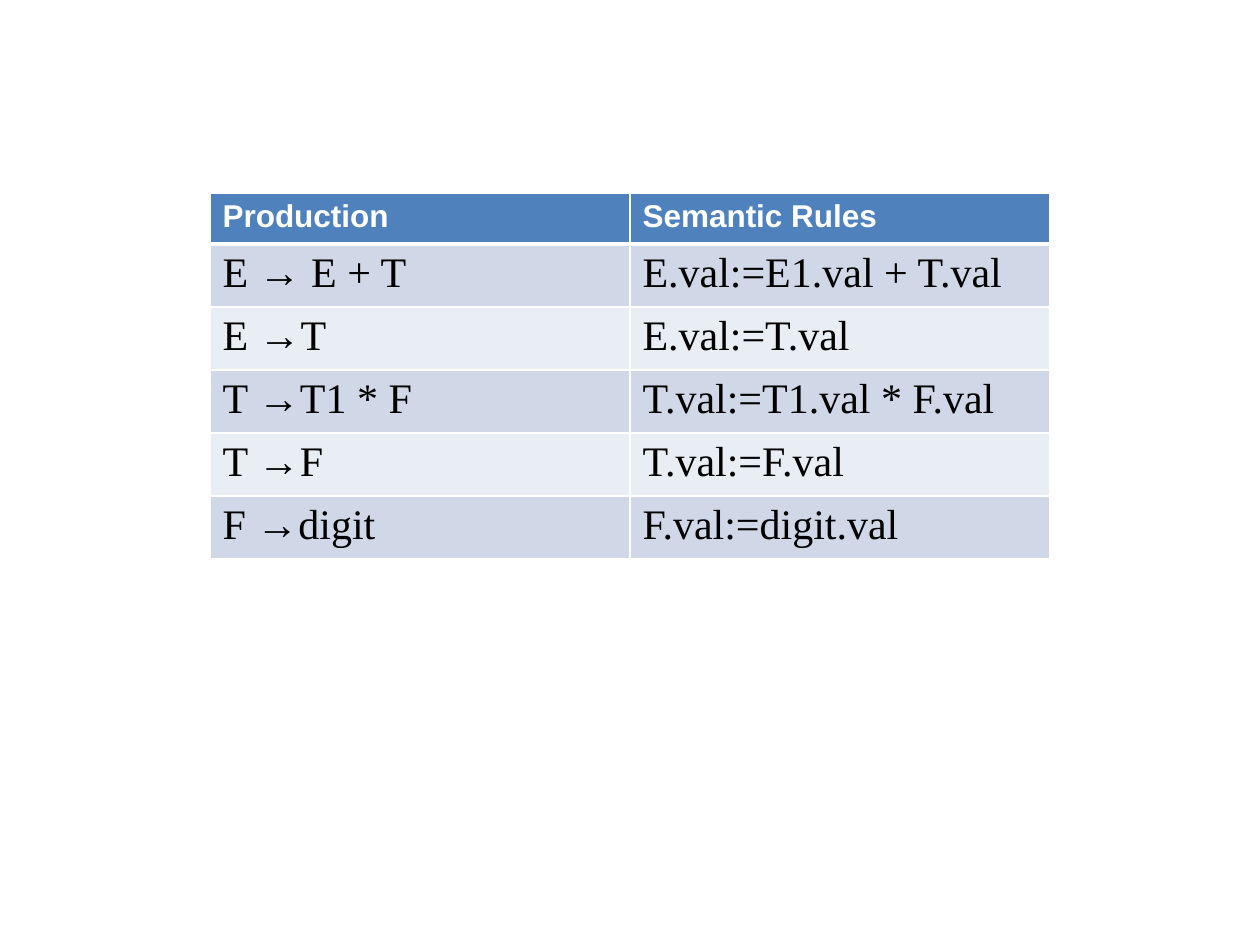
from lxml.etree import SubElement
from pptx import Presentation
from pptx.dml.color import RGBColor
from pptx.oxml.ns import qn
from pptx.util import Emu, Pt

PX = 914400 // 126

WHITE = RGBColor(0xFF, 0xFF, 0xFF)
BLACK = RGBColor(0x00, 0x00, 0x00)
HEADER_BLUE = RGBColor(0x4F, 0x81, 0xBD)
BAND_FILLS = [RGBColor(0xD0, 0xD8, 0xE8), RGBColor(0xE9, 0xED, 0xF4)]

HEADER_FONT = {"name": "Arial", "size": Pt(18), "bold": True}
BODY_FONT = {"name": "Times New Roman", "size": Pt(24), "bold": False}

HEADER_HEIGHT, BODY_HEIGHT, COLUMN_WIDTH = 51, 63, 420

GRAMMAR = [
    ("Production", "Semantic Rules"),
    ("E → E + T", "E.val:=E1.val + T.val"),
    ("E →T", "E.val:=T.val"),
    ("T →T1 * F", "T.val:=T1.val * F.val"),
    ("T →F", "T.val:=F.val"),
    ("F →digit", "F.val:=digit.val"),
]


def px(length):
    return Emu(length * PX)


def set_borders(cell, widths):
    """Draw white cell borders; widths are points by side."""
    properties = cell._tc.get_or_add_tcPr()
    for side, width in widths.items():
        line = SubElement(properties, qn(f"a:ln{side}"), w=str(Pt(width)))
        fill = SubElement(line, qn("a:solidFill"))
        SubElement(fill, qn("a:srgbClr"), val=str(WHITE))


def format_cell(cell, text, fill, color, font_format, borders):
    # Borders come before the fill in the cell's XML
    set_borders(cell, borders)
    cell.fill.solid()
    cell.fill.fore_color.rgb = fill
    run = cell.text_frame.paragraphs[0].add_run()
    run.text = text
    for name, value in font_format.items():
        setattr(run.font, name, value)
    run.font.color.rgb = color


def add_grammar_table(slide, left, top):
    row_count, column_count = len(GRAMMAR), len(GRAMMAR[0])
    height = HEADER_HEIGHT + BODY_HEIGHT * (row_count - 1)
    table = slide.shapes.add_table(
        row_count, column_count, px(left), px(top),
        px(COLUMN_WIDTH * column_count), px(height)).table
    for column in table.columns:
        column.width = px(COLUMN_WIDTH)

    for index, texts in enumerate(GRAMMAR):
        is_header = index == 0
        table.rows[index].height = px(HEADER_HEIGHT if is_header else BODY_HEIGHT)
        fill = HEADER_BLUE if is_header else BAND_FILLS[(index - 1) % 2]
        color = WHITE if is_header else BLACK
        font_format = HEADER_FONT if is_header else BODY_FONT
        # A thick rule separates the header from the body
        borders = {"L": 1, "R": 1, "T": 3 if index == 1 else 1,
                   "B": 3 if is_header else 1}
        for cell, text in zip(table.rows[index].cells, texts):
            format_cell(cell, text, fill, color, font_format, borders)


def main():
    presentation = Presentation()
    presentation.slide_width = px(1260)
    presentation.slide_height = px(945)
    slide = presentation.slides.add_slide(presentation.slide_layouts[6])

    # Grammar productions and their semantic rules
    add_grammar_table(slide, 210, 193)

    presentation.save("out.pptx")


if __name__ == "__main__":
    main()
